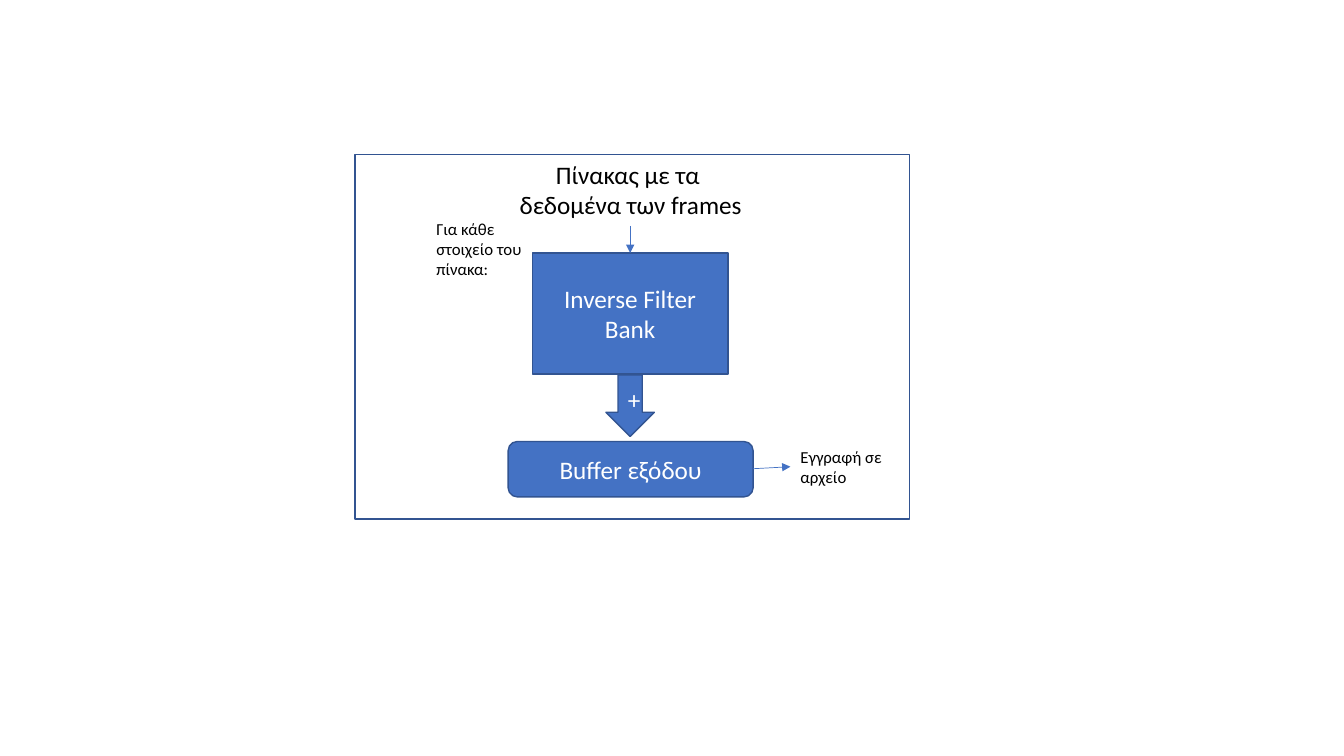
from pptx import Presentation
from pptx.util import Inches, Pt
from pptx.dml.color import RGBColor
from pptx.enum.shapes import MSO_SHAPE as Form, MSO_CONNECTOR as Link
from pptx.enum.text import PP_ALIGN as Align, MSO_ANCHOR as Anchor, MSO_AUTO_SIZE as Fit
from pptx.oxml.ns import qn
from lxml.etree import SubElement

BLUE = RGBColor(0x44, 0x72, 0xC4)
NAVY = RGBColor(0x32, 0x54, 0x91)
BLACK = RGBColor(0, 0, 0)
WHITE = RGBColor(255, 255, 255)

deck = Presentation()
deck.slide_width, deck.slide_height = Inches(13.33), Inches(7.5)
slide = deck.slides.add_slide(deck.slide_layouts[6])
shapes = slide.shapes


def write(shape, lines, size, color, align):
    for i, line in enumerate(lines):
        frame = shape.text_frame
        para = frame.add_paragraph() if i else frame.paragraphs[0]
        para.alignment = align
        run = para.add_run()
        run.text = line
        style = {"name": "Calibri", "size": Pt(size)}
        for key, value in style.items():
            setattr(run.font, key, value)
        run.font.color.rgb = color


blocks = [
    (Form.RECTANGLE, (5.28, 2.51, 1.94, 1.2), "Inverse Filter Bank"),
    (Form.RECTANGLE, (3.52, 1.53, 5.5, 3.62), None),
    (Form.DOWN_ARROW, (6.01, 3.72, 0.48, 0.61), "+"),
    (Form.ROUNDED_RECTANGLE, (5.04, 4.38, 2.43, 0.55), "Buffer εξόδου"),
]
for form, box, label in blocks:
    block = shapes.add_shape(form, *map(Inches, box))
    block.shadow.inherit = False
    block.line.color.rgb = NAVY
    block.line.width = Pt(1)
    if label:
        block.fill.solid()
        block.fill.fore_color.rgb = BLUE
        block.text_frame.vertical_anchor = Anchor.MIDDLE
        write(block, [label], 18, WHITE, Align.CENTER)
    else:
        block.fill.background()

notes = [
    ((5.04, 1.53, 2.43, 0.71), ["Πίνακας με τα ", "δεδομένα των frames"], 18, Align.CENTER, False),
    ((4.23, 2.12, 1.31, 0.71), ["Για κάθε στοιχείο του πίνακα:"], 12, Align.LEFT, True),
    ((7.84, 4.38, 1.14, 0.5), ["Εγγραφή σε αρχείο"], 12, Align.LEFT, True),
]
for box, lines, size, align, wrap in notes:
    note = shapes.add_textbox(*map(Inches, box))
    format = {"word_wrap": wrap, "auto_size": Fit.SHAPE_TO_FIT_TEXT}
    for key, value in format.items():
        setattr(note.text_frame, key, value)
    write(note, lines, size, BLACK, align)

for ends in [(6.25, 2.24, 6.25, 2.51), (7.47, 4.65, 7.84, 4.63)]:
    arrow = shapes.add_connector(Link.STRAIGHT, *map(Inches, ends))
    arrow.line.color.rgb = BLUE
    arrow.line.width = Pt(0.5)
    SubElement(arrow.line._get_or_add_ln(), qn("a:tailEnd"), type="triangle")
    SubElement(arrow._element.spPr, qn("a:effectLst"))

deck.save("out.pptx")
